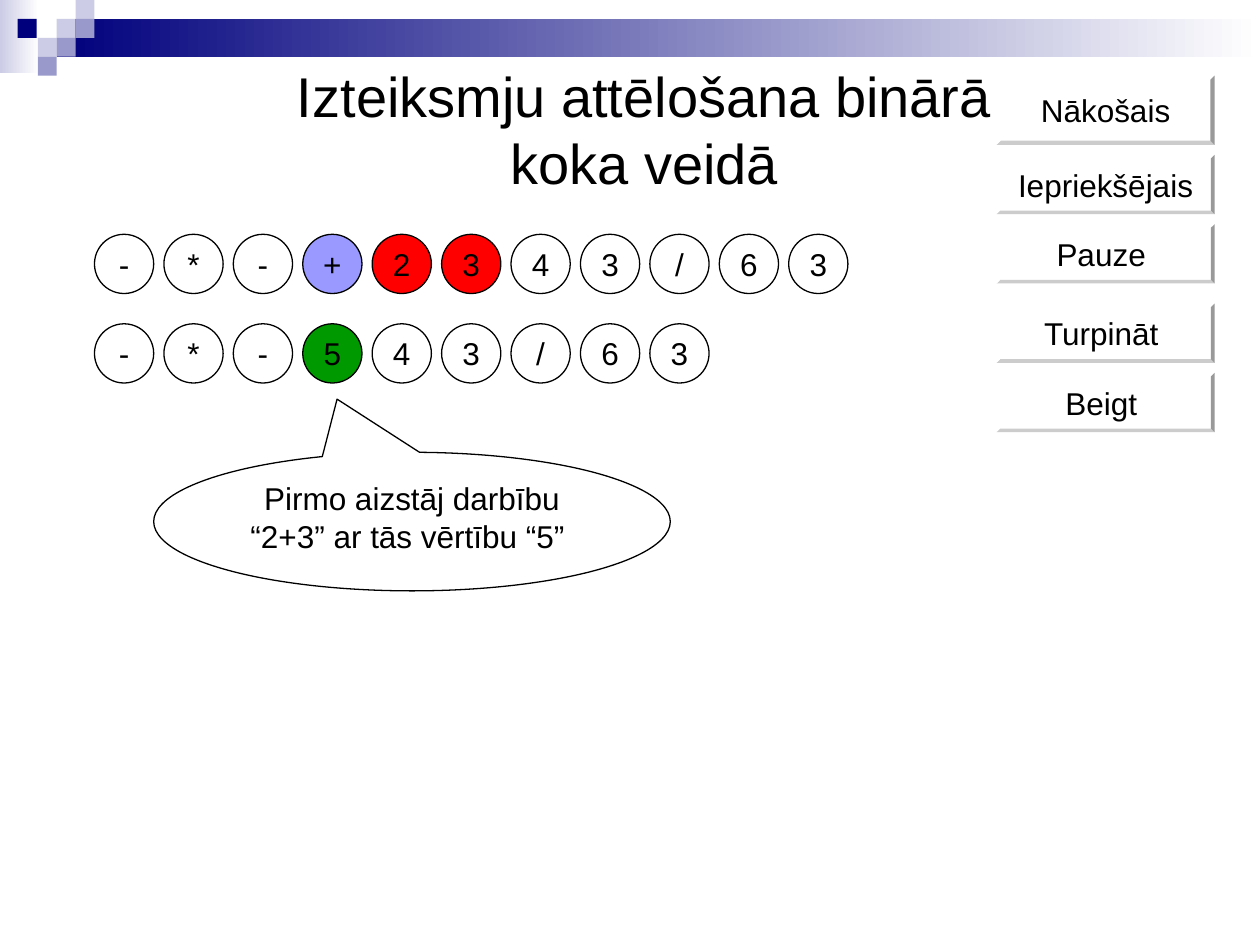
from pptx import Presentation
from pptx import util as u
from pptx.dml.color import RGBColor
from pptx.enum import shapes, text

COLORS = {
    "black": "000000", "white": "FFFFFF", "navy": "00007D",
    "lavender": "CCCCE6", "violet": "9999CC", "operator": "9999FF",
    "operand": "FF0000", "result": "009900",
}
KINDS = shapes.MSO_SHAPE


class SlideBuilder:
    font_name = "Arial"
    body_size = 18
    title_size = 32

    def __init__(self, page):
        self.page = page

    def color(self, name):
        return RGBColor.from_string(COLORS[name])

    def format_text(self, shape, content, size, anchor, wrap):
        frame = shape.text_frame
        frame.text = content
        frame.word_wrap = wrap
        frame.auto_size = text.MSO_AUTO_SIZE.NONE
        frame.vertical_anchor = anchor
        para = frame.paragraphs[0]
        para.alignment = text.PP_ALIGN.CENTER
        para.font.name = self.font_name
        para.font.size = u.Pt(size)
        para.font.color.rgb = self.color("black")

    def shape(self, kind, left, top, width, height, fill, outlined=False):
        shape = self.page.shapes.add_shape(
            kind, *map(u.Inches, (left, top, width, height)))
        shape.shadow.inherit = False
        shape.fill.solid()
        shape.fill.fore_color.rgb = self.color(fill)
        if outlined:
            shape.line.color.rgb = self.color("black")
            shape.line.width = u.Pt(0.75)
        else:
            shape.line.fill.background()
        return shape

    def fading_bar(self, left, top, width, height, start):
        """Add a bar that fades from the start colour to white, left to right."""
        bar = self.shape(KINDS.RECTANGLE, left, top, width, height, start)
        bar.fill.gradient()
        bar.fill.gradient_angle = 0
        for stop, name in zip(bar.fill.gradient_stops, (start, "white")):
            stop.color.rgb = self.color(name)

    def title(self, content):
        title = self.page.shapes.title
        title.left, title.top = u.Inches(1.77), u.Inches(0.44)
        title.width, title.height = u.Inches(6.69), u.Inches(1.17)
        self.format_text(title, content, self.title_size,
                         text.MSO_ANCHOR.TOP, True)

    def button(self, label, top, height):
        button = self.shape(KINDS.BEVEL, 7.91, top, 1.73, height, "white")
        button.adjustments[0] = 0.06
        self.format_text(button, label, self.body_size,
                         text.MSO_ANCHOR.MIDDLE, False)

    def token_row(self, tokens, top, highlights):
        """Add a row of circles; highlights maps a position to its fill."""
        for index, token in enumerate(tokens):
            circle = self.shape(KINDS.OVAL, 0.75 + index * 0.551, top, 0.47, 0.47,
                                highlights.get(index, "white"), outlined=True)
            self.format_text(circle, token, self.body_size,
                             text.MSO_ANCHOR.MIDDLE, False)

    def callout(self, content):
        callout = self.shape(KINDS.OVAL_CALLOUT, 1.22, 3.59, 4.1, 1.1,
                             "white", outlined=True)
        callout.adjustments[0] = -0.145
        callout.adjustments[1] = -0.884
        self.format_text(callout, content, self.body_size,
                         text.MSO_ANCHOR.TOP, True)


def main():
    deck = Presentation()
    deck.slide_width, deck.slide_height = u.Inches(10), u.Inches(7.5)
    builder = SlideBuilder(deck.slides.add_slide(deck.slide_layouts[5]))

    builder.title("Izteiksmju attēlošana binārā koka veidā")

    builder.fading_bar(0, 0, 0.31, 0.58, "lavender")
    builder.fading_bar(0.45, 0.15, 9.55, 0.3, "navy")
    squares = [
        (0.45, 0.15, "lavender"), (0.6, 0, "lavender"), (0.6, 0.15, "violet"),
        (0.3, 0.3, "lavender"), (0.14, 0.15, "navy"), (0.45, 0.3, "violet"),
        (0.3, 0.45, "violet"),
    ]
    for left, top, fill in squares:
        builder.shape(KINDS.RECTANGLE, left, top, 0.15, 0.15, fill)

    buttons = [
        ("Nākošais", 0.6, 0.55), ("Iepriekšējais", 1.23, 0.47),
        ("Pauze ", 1.78, 0.47), ("Turpināt ", 2.41, 0.47),
        ("Beigt ", 2.96, 0.47),
    ]
    for label, top, height in buttons:
        builder.button(label, top, height)

    builder.token_row("-*-+2343/63", 1.86,
                      {3: "operator", 4: "operand", 5: "operand"})
    builder.callout("Pirmo aizstāj darbību “2+3” ar tās vērtību “5” ")
    builder.token_row("-*-543/63", 2.57, {3: "result"})

    deck.save("out.pptx")


if __name__ == "__main__":
    main()
